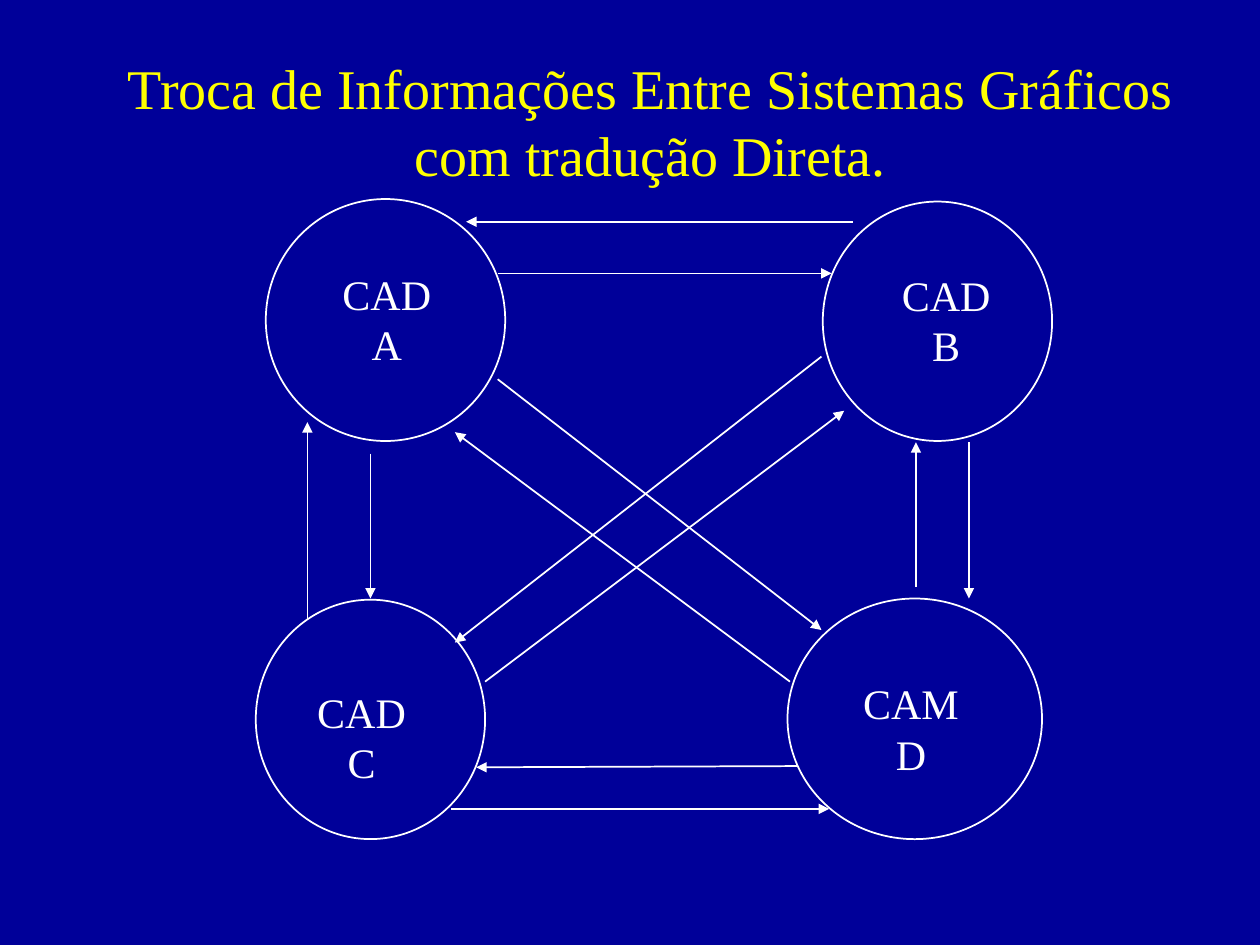
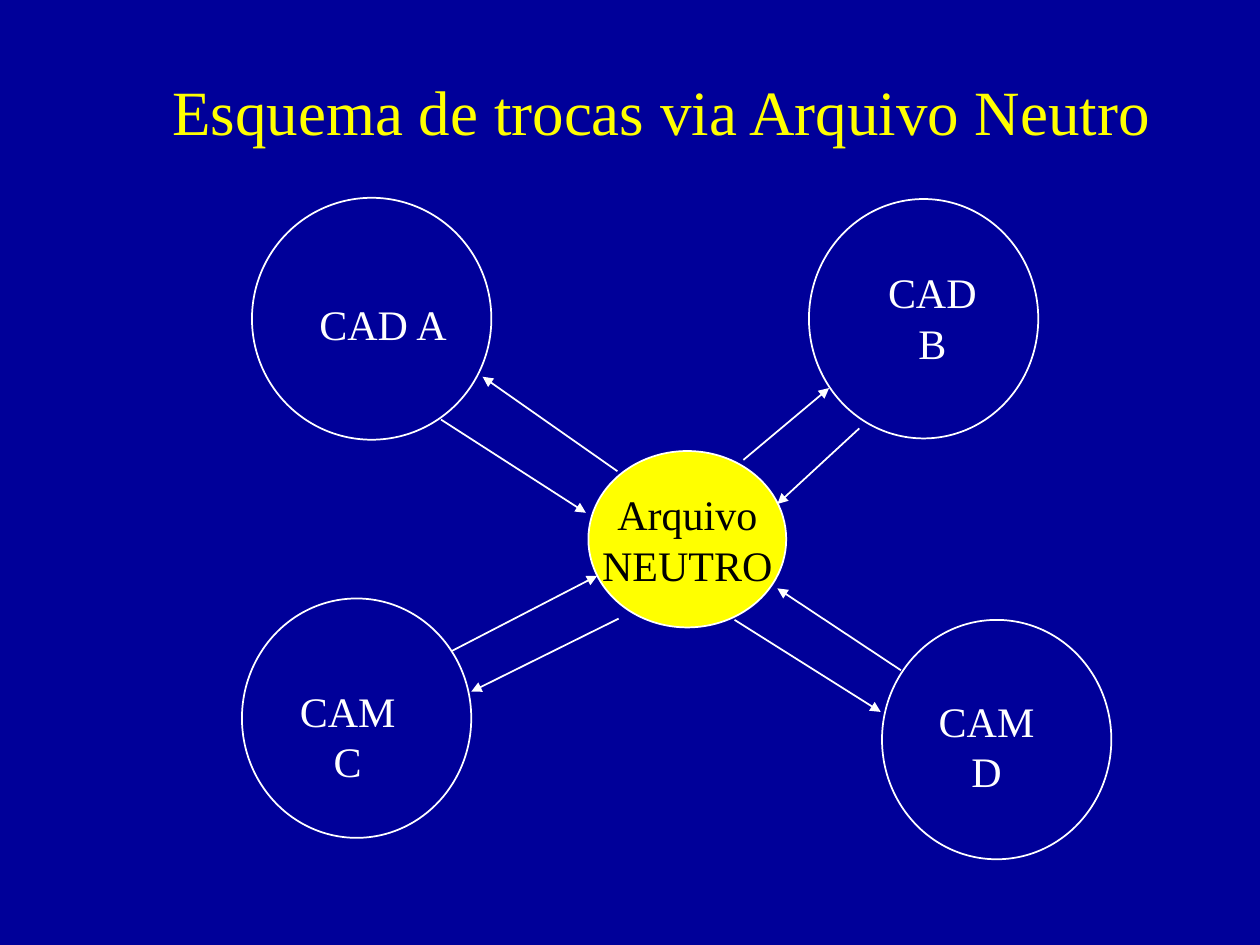
"""Build two slides comparing direct translation with exchange through a neutral file."""
import dataclasses

import pptx
import pptx.dml.color
import pptx.enum.shapes
import pptx.enum.text
import pptx.oxml
import pptx.oxml.ns
import pptx.util


@dataclasses.dataclass(frozen=True)
class Theme:
    font: str = "Times New Roman"
    background: str = "000099"
    accent: str = "FFFF00"
    light: str = "FFFFFF"
    dark: str = "000000"
    label_size: int = 24
    line_width: int = 1
    label_width: float = 1.3
    line_height: float = 0.4
    inset_x: float = 0.1
    inset_y: float = 0.05


THEME = Theme()
SLIDE_SIZE = (10, 7.5)

# systems: circle (left, top, width, height), label lines, label (centre x, top)
# arrows: start x, start y, tip x, tip y
SLIDES = [
    {
        "title": ["Troca de Informações Entre Sistemas Gráficos", "com tradução Direta."],
        "title_box": (0.75, 0.33, 8.83, 1.25),
        "title_size": 32,
        "systems": [
            ((2.11, 1.58, 1.9, 1.92), ["CAD", "A"], (3.07, 2.08)),
            ((6.53, 1.6, 1.82, 1.9), ["CAD", "B"], (7.51, 2.09)),
            ((2.03, 4.76, 1.82, 1.9), ["CAD", "C"], (2.87, 5.4)),
            ((6.25, 4.75, 2.02, 1.91), ["CAM", "D"], (7.23, 5.33)),
        ],
        "arrows": [
            (6.27, 5.41, 3.61, 3.43), (3.95, 3.01, 6.52, 5),
            (6.52, 2.83, 3.61, 5.1), (3.85, 5.41, 6.7, 3.26),
            (6.77, 1.76, 3.7, 1.76), (3.95, 2.17, 6.6, 2.17),
            (2.44, 4.91, 2.44, 3.35), (2.94, 3.6, 2.94, 4.75),
            (3.58, 6.42, 6.58, 6.42), (6.33, 6.08, 3.78, 6.09),
            (7.27, 4.66, 7.27, 3.51), (7.69, 3.51, 7.69, 4.75),
        ],
    },
    {
        "title": ["Esquema de trocas via Arquivo Neutro"],
        "title_box": (1, 0.25, 8.5, 1.25),
        "title_size": 36,
        "systems": [
            ((2, 1.57, 1.9, 1.92), ["CAD A"], (3.04, 2.32)),
            ((6.42, 1.58, 1.82, 1.9), ["CAD", "B"], (7.4, 2.07)),
            ((1.92, 4.75, 1.82, 1.9), ["CAM", "C"], (2.76, 5.39)),
            ((7, 4.92, 1.82, 1.9), ["CAM", "D"], (7.83, 5.47)),
        ],
        "hub": ((4.67, 3.58, 1.57, 1.4), ["Arquivo", "NEUTRO"]),
        "arrows": [
            (3.5, 3.33, 4.65, 4.07), (4.9, 3.74, 3.83, 2.99),
            (3.58, 5.17, 4.74, 4.57), (4.91, 4.91, 3.74, 5.49),
            (5.9, 3.65, 6.58, 3.08), (6.82, 3.4, 6.17, 4),
            (5.83, 4.92, 6.99, 5.65), (7.15, 5.32, 6.17, 4.67),
        ],
    },
]


def inches(values):
    return [pptx.util.Inches(value) for value in values]


def color(name):
    return pptx.dml.color.RGBColor.from_string(name)


def write(shape, lines, size, text_color, middle=False, wrap=False):
    frame = shape.text_frame
    frame.word_wrap = wrap
    frame.margin_left = frame.margin_right = pptx.util.Inches(THEME.inset_x)
    frame.margin_top = frame.margin_bottom = pptx.util.Inches(THEME.inset_y)
    anchors = pptx.enum.text.MSO_ANCHOR
    frame.vertical_anchor = anchors.MIDDLE if middle else anchors.TOP
    paragraph = frame.paragraphs[0]
    paragraph.alignment = pptx.enum.text.PP_ALIGN.CENTER
    for index, line in enumerate(lines):
        if index:
            paragraph.add_line_break()
        run = paragraph.add_run()
        run.text = line
        run.font.name = THEME.font
        run.font.size = pptx.util.Pt(size)
        run.font.color.rgb = color(text_color)


def style_line(shape):
    shape.line.color.rgb = color(THEME.light)
    shape.line.width = pptx.util.Pt(THEME.line_width)


def add_circle(slide, box, fill=None):
    circle = slide.shapes.add_shape(pptx.enum.shapes.MSO_SHAPE.OVAL, *inches(box))
    circle.shadow.inherit = False
    style_line(circle)
    if fill:
        circle.fill.solid()
        circle.fill.fore_color.rgb = color(fill)
    else:
        circle.fill.background()
    return circle


def add_label(slide, lines, position):
    center, top = position
    width = THEME.label_width
    height = len(lines) * THEME.line_height + 2 * THEME.inset_y
    label = slide.shapes.add_textbox(*inches((center - width / 2, top, width, height)))
    write(label, lines, THEME.label_size, THEME.light)


def add_arrow(slide, ends):
    arrow = slide.shapes.add_connector(pptx.enum.shapes.MSO_CONNECTOR.STRAIGHT, *inches(ends))
    style_line(arrow)
    tip = pptx.oxml.parse_xml(f'<a:tailEnd {pptx.oxml.ns.nsdecls("a")} type="triangle"/>')
    arrow.line._get_or_add_ln().append(tip)
    no_shadow = pptx.oxml.parse_xml(f'<a:effectLst {pptx.oxml.ns.nsdecls("a")}/>')
    arrow._element.spPr.append(no_shadow)


def build_slide(presentation, content):
    slide = presentation.slides.add_slide(presentation.slide_layouts[6])
    slide.background.fill.solid()
    slide.background.fill.fore_color.rgb = color(THEME.background)
    title = slide.shapes.add_textbox(*inches(content["title_box"]))
    write(title, content["title"], content["title_size"], THEME.accent, middle=True, wrap=True)
    for box, lines, position in content["systems"]:
        add_circle(slide, box)
        add_label(slide, lines, position)
    if "hub" in content:
        box, lines = content["hub"]
        hub = add_circle(slide, box, THEME.accent)
        write(hub, lines, THEME.label_size, THEME.dark, middle=True)
    for ends in content["arrows"]:
        add_arrow(slide, ends)


def main():
    presentation = pptx.Presentation()
    presentation.slide_width, presentation.slide_height = inches(SLIDE_SIZE)
    for content in SLIDES:
        build_slide(presentation, content)
    presentation.save("out.pptx")


if __name__ == "__main__":
    main()
